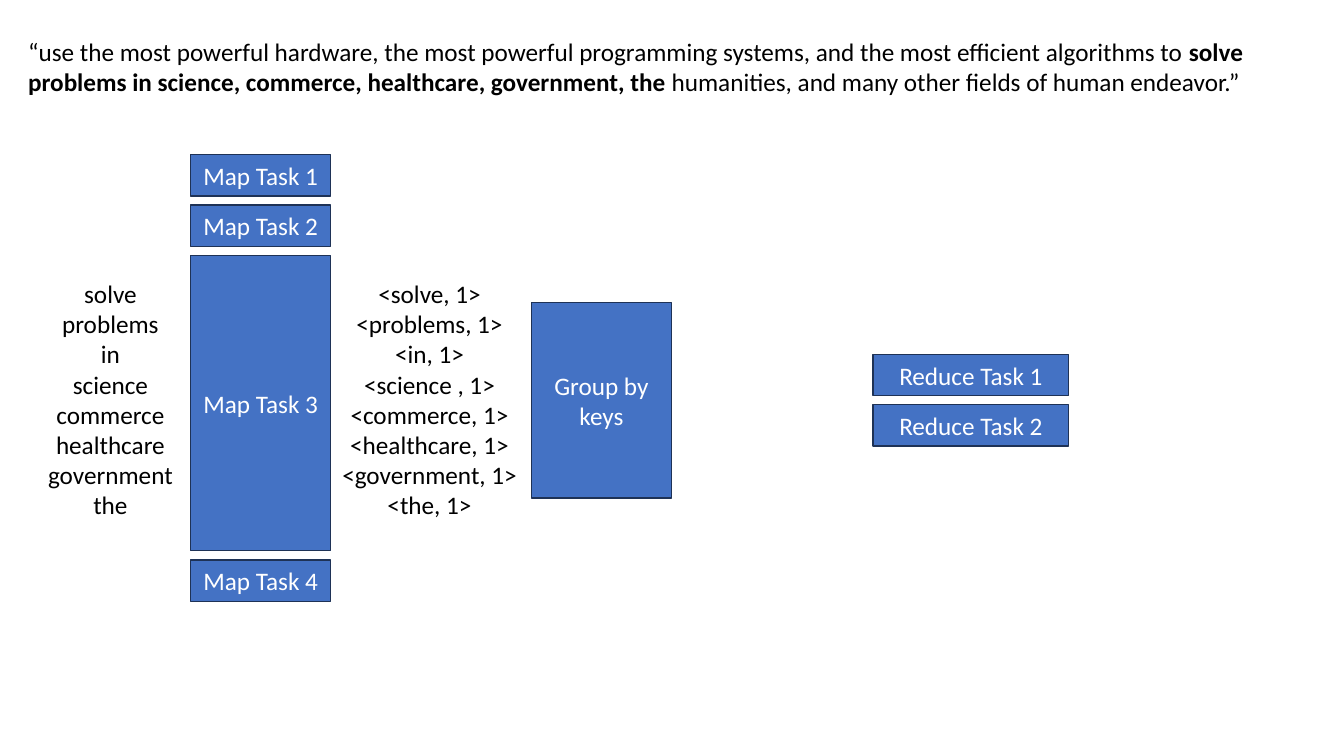
from pptx import Presentation
from pptx.dml.color import RGBColor
from pptx.enum.shapes import MSO_SHAPE
from pptx.enum.text import MSO_ANCHOR, MSO_AUTO_SIZE, PP_ALIGN
from pptx.util import Inches, Pt

# Content
QUOTE = [
    ("“use the most powerful hardware, the most powerful programming systems, "
     "and the most efficient algorithms to ", False),
    ("solve problems in science, commerce, healthcare, government, the ", True),
    ("humanities, and many other fields of human endeavor.”", False),
]
KEYS = ["solve", "problems", "in", "science ", "commerce",
        "healthcare", "government", "the"]
WORDS = [[(key.strip(), False)] for key in KEYS]
PAIRS = [[(f"<{key}, 1>", False)] for key in KEYS]

COLORS = {"box": "4472C4", "edge": "1E3256", "light": "FFFFFF", "dark": "000000"}

# Layout in inches: stacks of boxes are centred on a middle line
ROW, GAP, MIDDLE = 0.41, 0.09, 3.97
STACKS = [  # left, width, middle, (label, height) from top to bottom
    (1.89, 1.39, 3.75, [("Map Task 1", ROW), ("Map Task 2", ROW),
                        ("Map Task 3", 2.93), ("Map Task 4", ROW)]),
    (5.27, 1.39, MIDDLE, [("Group by keys", 1.94)]),
    (8.66, 1.94, MIDDLE, [("Reduce Task 1", ROW), ("Reduce Task 2", ROW)]),
]
LIST_HEIGHT = 2.52
LISTS = [  # left, width, lines, wrap
    (0.37, 1.45, WORDS, False),
    (3.22, 2.08, PAIRS, True),
]


def color(name):
    return RGBColor.from_string(COLORS[name])


def write(tf, lines, fill="dark", align=PP_ALIGN.CENTER, wrap=True):
    """Fill a text frame; each line is a list of (text, bold) runs."""
    tf.word_wrap = wrap
    for i, line in enumerate(lines):
        p = tf.add_paragraph() if i else tf.paragraphs[0]
        p.alignment = align
        for text, bold in line:
            r = p.add_run()
            r.text = text
            r.font.name, r.font.size, r.font.bold = "Calibri", Pt(18), bold
            r.font.color.rgb = color(fill)


def add_text(s, box, lines, **fmt):
    tf = s.shapes.add_textbox(*map(Inches, box)).text_frame
    write(tf, lines, **fmt)
    tf.auto_size = MSO_AUTO_SIZE.SHAPE_TO_FIT_TEXT


def add_box(s, box, label):
    sp = s.shapes.add_shape(MSO_SHAPE.RECTANGLE, *map(Inches, box))
    sp.shadow.inherit = False
    sp.fill.solid()
    sp.fill.fore_color.rgb = color("box")
    sp.line.color.rgb = color("edge")
    sp.line.width = Pt(1)
    sp.text_frame.vertical_anchor = MSO_ANCHOR.MIDDLE
    write(sp.text_frame, [[(label, False)]], fill="light")


def main():
    prs = Presentation()
    prs.slide_width, prs.slide_height = Inches(13.33), Inches(7.5)
    s = prs.slides.add_slide(prs.slide_layouts[6])

    # Quotation across the top
    add_text(s, (0.18, 0.31, 12.82, 0.71), [QUOTE], align=PP_ALIGN.LEFT)

    # Map, group and reduce stages
    for left, width, middle, tasks in STACKS:
        total = sum(height for _, height in tasks) + GAP * (len(tasks) - 1)
        top = middle - total / 2
        for label, height in tasks:
            add_box(s, (left, top, width, height), label)
            top += height + GAP

    # Words going in and key-value pairs coming out of the third map task
    for left, width, lines, wrap in LISTS:
        top = MIDDLE - LIST_HEIGHT / 2
        add_text(s, (left, top, width, LIST_HEIGHT), lines, wrap=wrap)

    prs.save("out.pptx")


if __name__ == "__main__":
    main()
